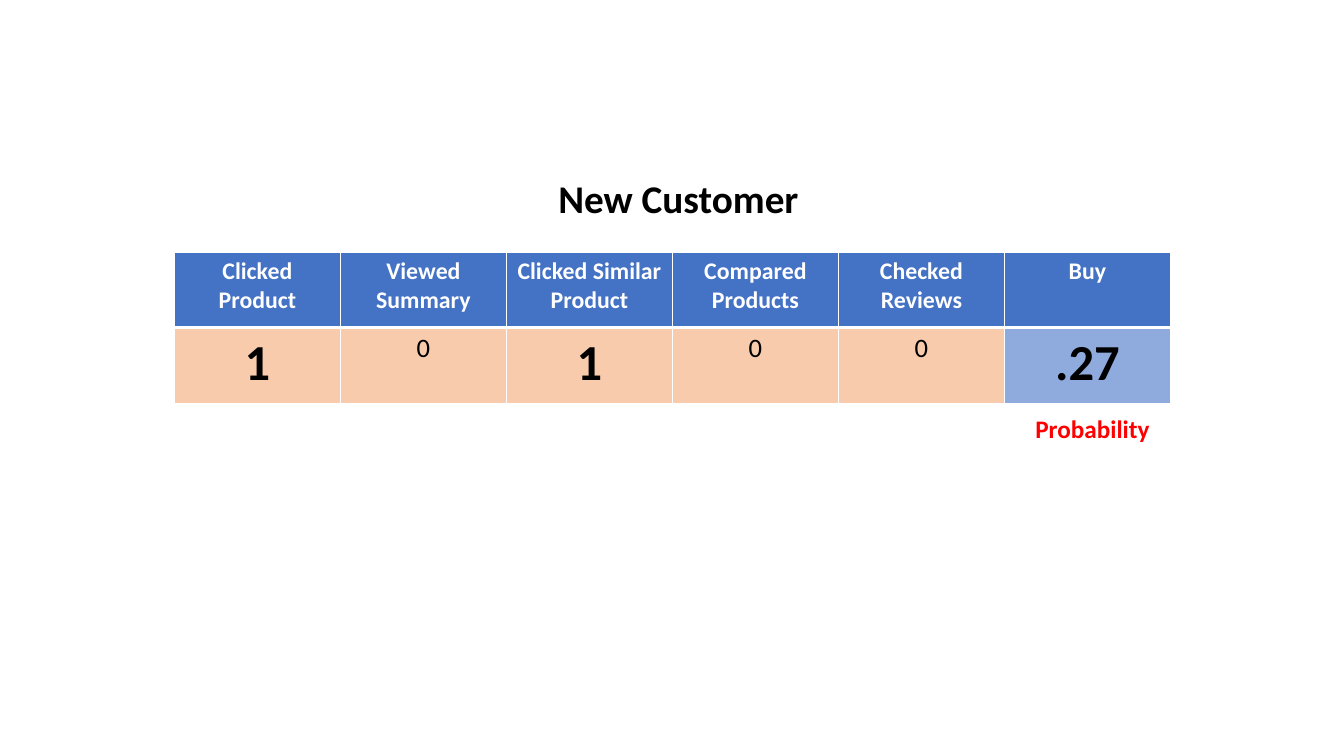
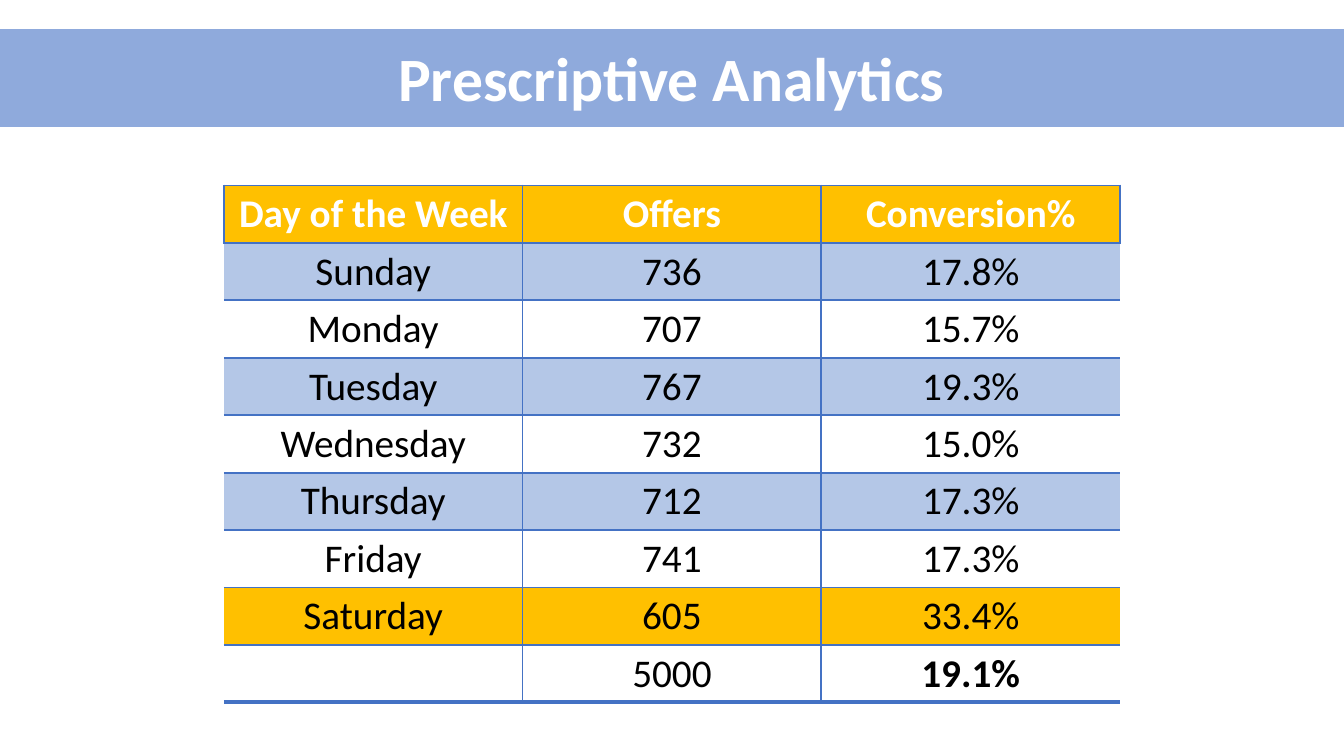
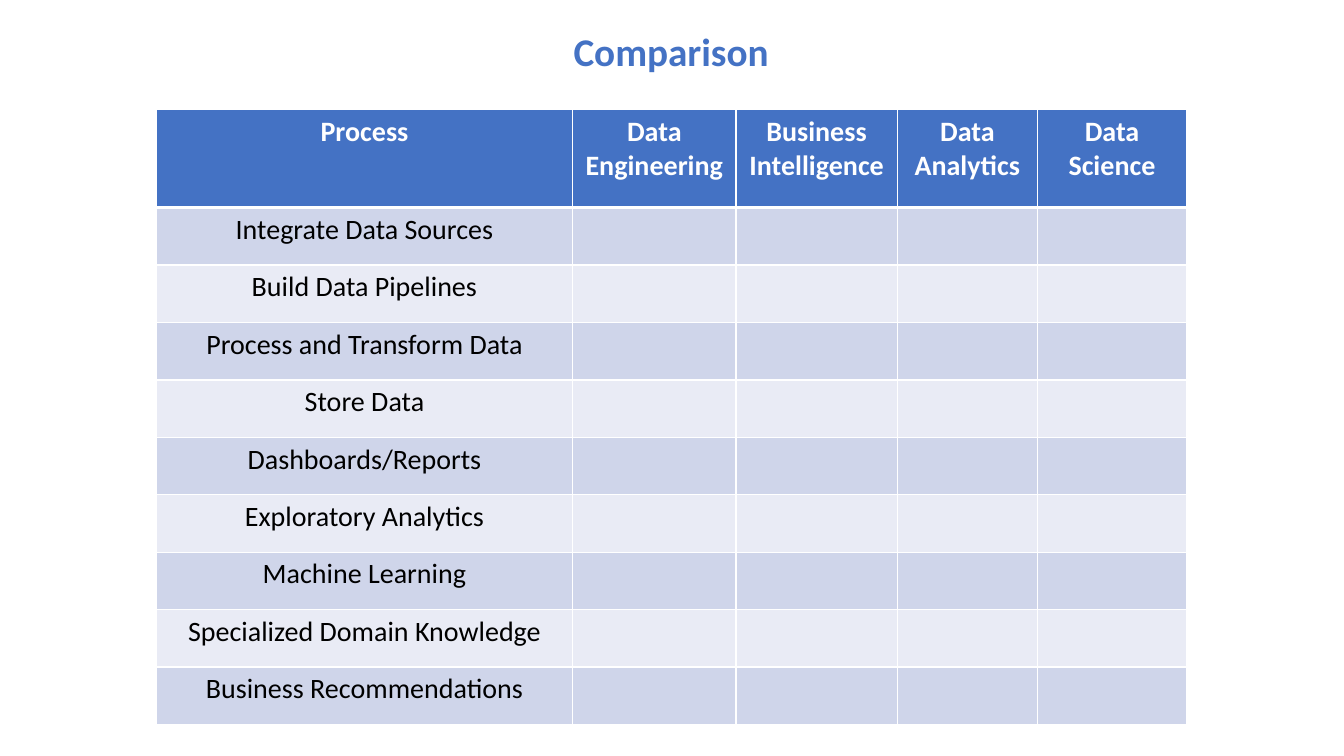
from dataclasses import dataclass, replace

from lxml import etree
from pptx import Presentation
from pptx import util as u
from pptx.dml.color import RGBColor
from pptx.enum import shapes, text
from pptx.oxml import ns

FONT = "Calibri"
WHITE, BLACK, RED = "FFFFFF", "000000", "FF0000"
BLUE, SOFT_BLUE, PALE_BLUE = "4472C4", "8FAADC", "B4C7E7"
GOLD, PEACH = "FFC000", "F8CBAD"
BANDS = ("CFD5EA", "E9EBF5")
THICK = 3


@dataclass(frozen=True)
class Cell:
    text: str
    fill: str
    size: int
    color: str = BLACK
    bold: bool = False


@dataclass(frozen=True)
class Grid:
    left: float
    top: float
    widths: list[float]
    heights: list[float]
    rows: list[list[Cell]]
    line: str
    line_width: float
    thick_row: int
    open_sides: bool = False


@dataclass(frozen=True)
class Label:
    text: str
    left: float
    top: float
    width: float
    height: float
    size: int
    color: str


def rgb(color: str) -> RGBColor:
    return RGBColor.from_string(color)


def style_paragraph(para, size: int, color: str, bold: bool) -> None:
    para.font.name = FONT
    para.font.size = u.Pt(size)
    para.font.bold = bold
    para.font.color.rgb = rgb(color)


def add_edge(cell, side: str, color: str, width: float) -> None:
    properties = cell._tc.get_or_add_tcPr()
    edge = etree.SubElement(properties, ns.qn(f"a:ln{side}"), w=str(u.Pt(width)))
    if width:
        fill = etree.SubElement(edge, ns.qn("a:solidFill"))
        etree.SubElement(fill, ns.qn("a:srgbClr"), val=color)
    else:
        etree.SubElement(edge, ns.qn("a:noFill"))


def edge_widths(grid: Grid, row: int, column: int) -> dict[str, float]:
    open_row = grid.open_sides and row > 0
    last = len(grid.widths) - 1
    return {
        "L": 0 if open_row and column == 0 else grid.line_width,
        "R": 0 if open_row and column == last else grid.line_width,
        "T": THICK if row == grid.thick_row + 1 else grid.line_width,
        "B": THICK if row == grid.thick_row else grid.line_width,
    }


def add_grid(page, grid: Grid) -> None:
    table = page.shapes.add_table(
        len(grid.heights), len(grid.widths),
        u.Inches(grid.left), u.Inches(grid.top),
        u.Inches(sum(grid.widths)), u.Inches(sum(grid.heights)),
    ).table
    for column, width in zip(table.columns, grid.widths):
        column.width = u.Inches(width)
    for row, height in zip(table.rows, grid.heights):
        row.height = u.Inches(height)
    for row_index, row in enumerate(grid.rows):
        for column_index, content in enumerate(row):
            cell = table.cell(row_index, column_index)
            for side, width in edge_widths(grid, row_index, column_index).items():
                add_edge(cell, side, grid.line, width)
            cell.fill.solid()
            cell.fill.fore_color.rgb = rgb(content.fill)
            cell.text = content.text
            para = cell.text_frame.paragraphs[0]
            para.alignment = text.PP_ALIGN.CENTER
            style_paragraph(para, content.size, content.color, content.bold)


def add_label(page, label: Label) -> None:
    box = page.shapes.add_textbox(
        u.Inches(label.left), u.Inches(label.top),
        u.Inches(label.width), u.Inches(label.height),
    )
    frame = box.text_frame
    frame.word_wrap = False
    frame.auto_size = text.MSO_AUTO_SIZE.SHAPE_TO_FIT_TEXT
    frame.text = label.text
    style_paragraph(frame.paragraphs[0], label.size, label.color, True)


def add_band(page, top: float, height: float, width: int) -> None:
    band = page.shapes.add_shape(
        shapes.MSO_SHAPE.RECTANGLE, 0, u.Inches(top), width, u.Inches(height)
    )
    band.shadow.inherit = False
    band.fill.solid()
    band.fill.fore_color.rgb = rgb(SOFT_BLUE)
    band.line.fill.background()


def header(titles: list[str], fill: str, size: int) -> list[Cell]:
    return [Cell(title, fill, size, WHITE, True) for title in titles]


def build_customer(page) -> None:
    titles = ["Clicked Product", "Viewed Summary", "Clicked Similar Product",
              "Compared Products", "Checked Reviews", "Buy"]
    zero = Cell("0", PEACH, 19)
    one = Cell("1", PEACH, 36, bold=True)
    probability = Cell(".27", SOFT_BLUE, 36, bold=True)
    rows = [header(titles, BLUE, 17), [one, zero, one, zero, zero, probability]]
    add_grid(page, Grid(1.73, 2.5, [9.88 / 6] * 6, [0.75] * 2, rows, WHITE, 1, 0))
    add_label(page, Label("Probability", 10.17, 4.05, 1.34, 0.4, 18, RED))
    add_label(page, Label("New Customer", 5.44, 1.68, 2.6, 0.57, 28, BLACK))


def build_prescriptive(page, page_width: int) -> None:
    days = [
        ("Sunday", "736", "17.8%"),
        ("Monday", "707", "15.7%"),
        ("Tuesday", "767", "19.3%"),
        ("Wednesday", "732", "15.0%"),
        ("Thursday", "712", "17.3%"),
        ("Friday", "741", "17.3%"),
        ("Saturday", "605", "33.4%"),
        ("", "5000", "19.1%"),
    ]
    rows = [header(["Day of the Week", "Offers", "Conversion%"], GOLD, 28)]
    for index, day in enumerate(days):
        fill = GOLD if day[0] == "Saturday" else (PALE_BLUE, WHITE)[index % 2]
        rows.append([Cell(value, fill, 28) for value in day])
    rows[-1][-1] = replace(rows[-1][-1], bold=True)
    add_grid(page, Grid(2.22, 1.84, [8.89 / 3] * 3, [0.57] * len(rows), rows,
                        BLUE, 1.5, len(rows) - 1, open_sides=True))
    add_band(page, 0.29, 0.97, page_width)
    add_label(page, Label("Prescriptive Analytics", 3.85, 0.35, 5.63, 0.84, 44, WHITE))


def build_comparison(page) -> None:
    titles = ["Process", "Data Engineering", "Business Intelligence",
              "Data Analytics", "Data Science"]
    processes = ["Integrate Data Sources", "Build Data Pipelines",
                 "Process and Transform Data", "Store Data", "Dashboards/Reports",
                 "Exploratory Analytics", "Machine Learning",
                 "Specialized Domain Knowledge", "Business Recommendations"]
    rows = [header(titles, BLUE, 20)]
    for index, process in enumerate(processes):
        values = [process] + [""] * (len(titles) - 1)
        rows.append([Cell(value, BANDS[index % 2], 20) for value in values])
    add_label(page, Label("Comparison", 5.59, 0.22, 2.16, 0.57, 28, BLUE))
    add_grid(page, Grid(1.55, 1.09, [4.13, 1.62, 1.6, 1.39, 1.48],
                        [0.97] + [0.57] * len(processes), rows, WHITE, 1, 0))


def main() -> None:
    deck = Presentation()
    deck.slide_width = u.Inches(13.33)
    deck.slide_height = u.Inches(7.5)
    customer, prescriptive, comparison = (
        deck.slides.add_slide(deck.slide_layouts[6]) for _ in range(3)
    )
    build_customer(customer)
    build_prescriptive(prescriptive, deck.slide_width)
    build_comparison(comparison)
    deck.save("out.pptx")


if __name__ == "__main__":
    main()
